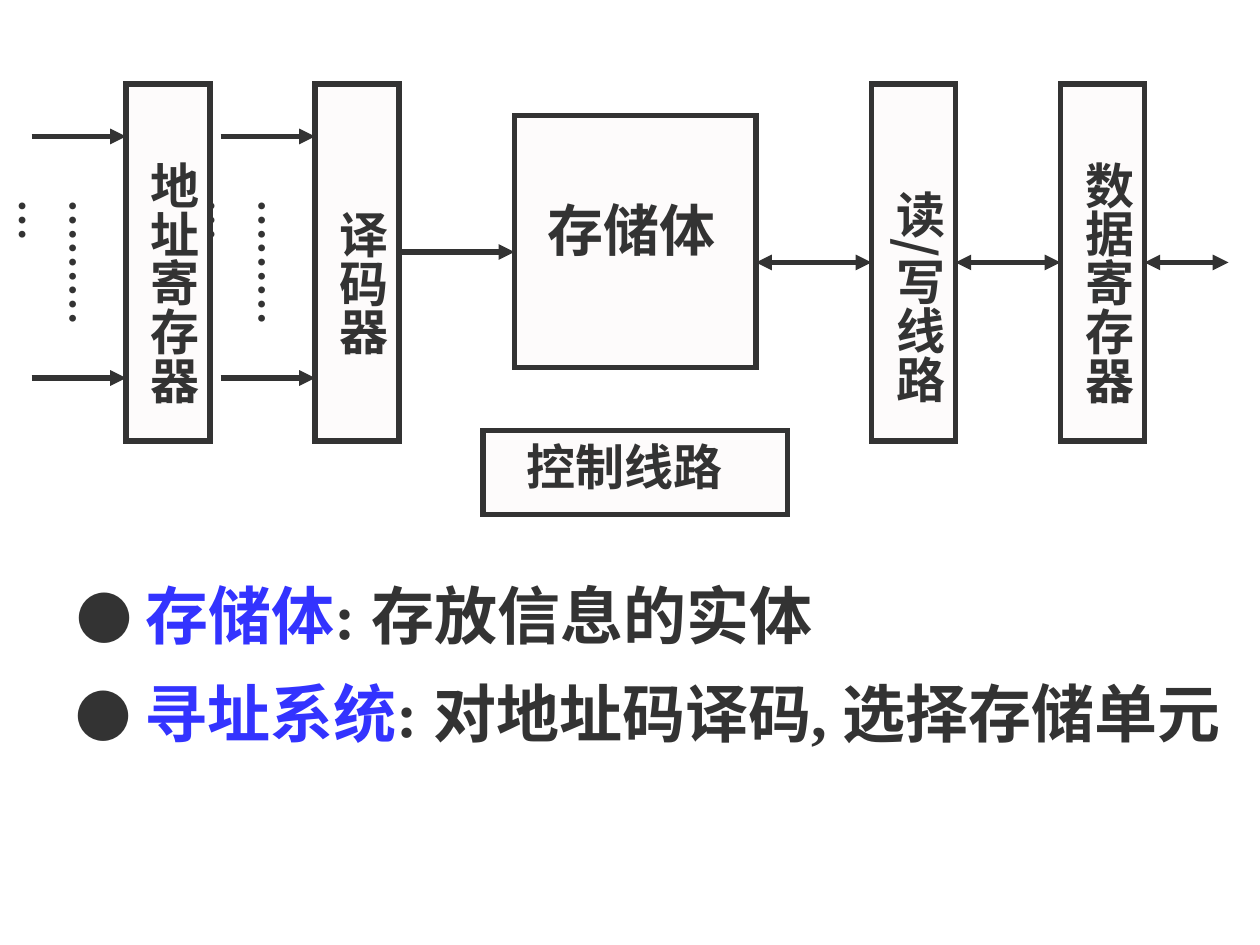
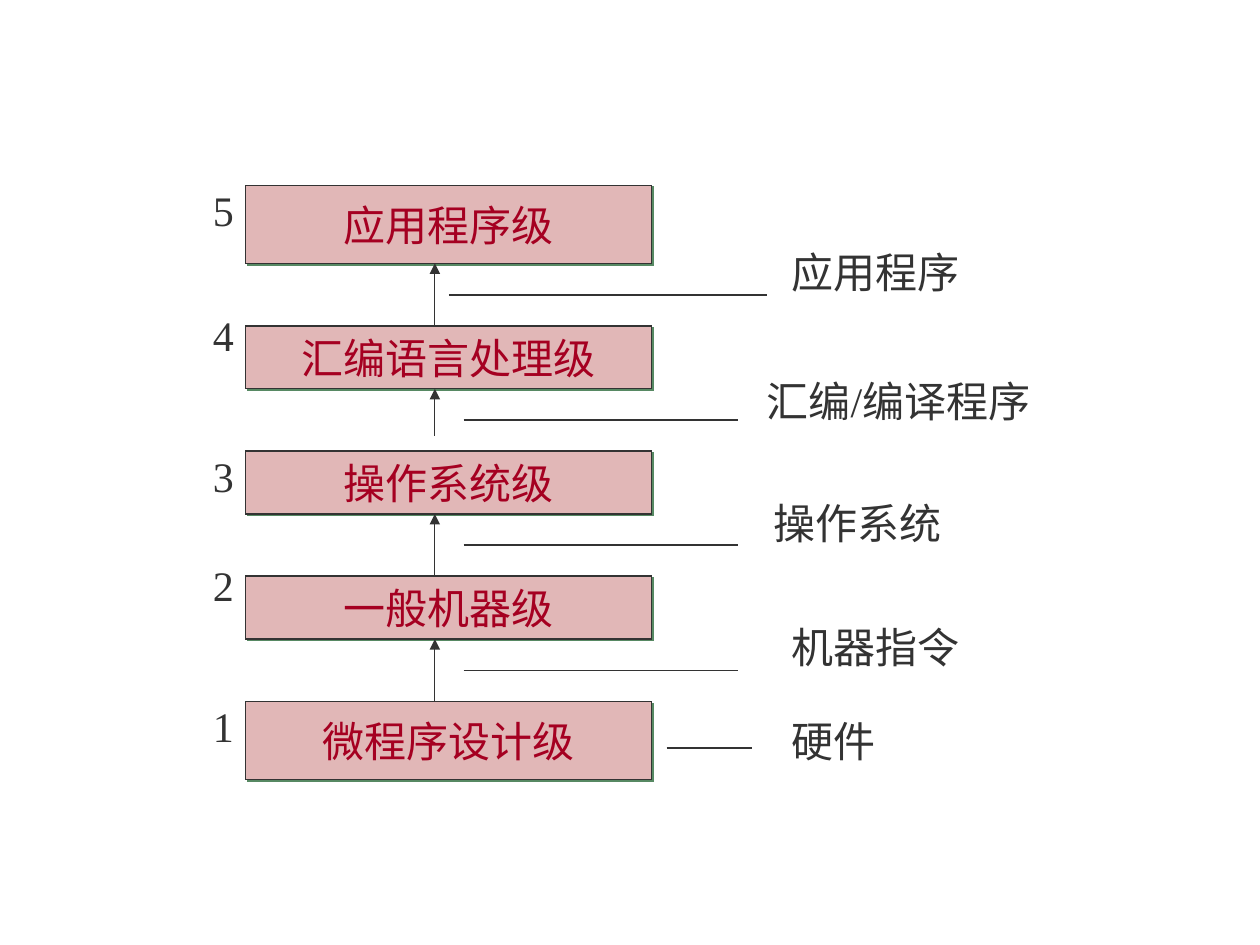
from typing import NamedTuple

from lxml import etree
from pptx import Presentation
from pptx.dml.color import RGBColor
from pptx.enum.shapes import MSO_CONNECTOR, MSO_SHAPE
from pptx.enum.text import MSO_ANCHOR, MSO_AUTO_SIZE, PP_ALIGN
from pptx.oxml.ns import qn
from pptx.util import Pt

RECT = MSO_SHAPE.RECTANGLE
STRAIGHT = MSO_CONNECTOR.STRAIGHT
TOP, MIDDLE = MSO_ANCHOR.TOP, MSO_ANCHOR.MIDDLE
GROW, FIXED = MSO_AUTO_SIZE.SHAPE_TO_FIT_TEXT, MSO_AUTO_SIZE.NONE
LEFT, CENTER = PP_ALIGN.LEFT, PP_ALIGN.CENTER

INK = RGBColor(0x33, 0x33, 0x33)
PAPER = RGBColor(0xFD, 0xFB, 0xFB)
BLUE = RGBColor(0x33, 0x33, 0xFF)
PINK = RGBColor(0xE1, 0xB7, 0xB7)
RED = RGBColor(0xA5, 0x00, 0x21)
SHADE = "578963"

SERIF, SANS, CJK = "Times New Roman", "Arial", "Noto Sans CJK SC"
THICK, THIN = 3, 0.75


class Box(NamedTuple):
    left: float
    top: float
    width: float
    height: float


class Run(NamedTuple):
    text: str
    size: float
    color: RGBColor = INK
    font: str = SERIF


class Label(NamedTuple):
    text: str
    box: Box
    size: float
    inset: float = 3.6
    vert: bool = True
    font: str = SERIF


class Arrow(NamedTuple):
    start: float
    end: float
    y: float
    both: bool = False


class Item(NamedTuple):
    term: str
    text: str
    box: Box
    indent: float
    inset: float


class Level(NamedTuple):
    number: str
    name: str
    top: float
    height: float
    mark: float  # top of the number


class Note(NamedTuple):
    text: str
    box: Box
    start: float
    end: float
    y: float


COLUMNS = [Box(x, 48, 48, 204) for x in (72, 180, 498, 606)]
BLOCKS = [Box(294, 66, 138, 144), *COLUMNS, Box(276, 246, 174, 48)]
LABELS = [
    Label("存储体", Box(306, 108, 114, 46), 32, vert=False),
    Label("地址寄存器", Box(72, 78, 47.5, 168), 28, 14),
    Label("译码器", Box(180, 96, 47.5, 132), 28, 24),
    Label("读/写线路", Box(498, 90, 47.5, 174), 28, 18.6, font=CJK),
    Label("数据寄存器", Box(606, 84, 47.5, 156), 28, 8),
    Label("控制线路", Box(294, 246, 162, 41), 28, vert=False),
    *[Label("…………", Box(x, 96, 43, 108), 24, 18) for x in (24.5, 132.5)],
]
ARROWS = [
    *[Arrow(x, x + 54, y) for x in (18, 126) for y in (78, 216)],
    Arrow(228, 294, 144),
    Arrow(432, 498, 150, both=True),
    Arrow(546, 606, 150, both=True),
    Arrow(654, 702, 150, both=True),
]
ITEMS = [
    Item("存储体", ": 存放信息的实体", Box(36.5, 326, 454, 50.5), 0, 3.6),
    Item("寻址系统", ": 对地址码译码, 选择存储单元",
         Box(26, 378, 687, 98.5), 10, 7.6),
]

BAR_LEFT, BAR_WIDTH, AXIS = 140.5, 232, 248.5
LEVELS = [
    Level("5", "应用程序级", 106, 44.5, 102),
    Level("4", "汇编语言处理级", 186.25, 36, 173.5),
    Level("3", "操作系统级", 257.75, 36, 254),
    Level("2", "一般机器级", 329.25, 36, 316),
    Level("1", "微程序设计级", 401, 44.5, 396.5),
]
STEMS = [186.25, 249, 329.25, 401]
NOTES = [
    Note("应用程序", Box(445, 137.5, 111, 36), 256.5, 438.5, 168.5),
    Note("汇编/编译程序", Box(431, 211, 176.5, 36), 265, 422, 240),
    Note("操作系统", Box(435, 281, 111, 36), 265, 422, 311.5),
    Note("机器指令", Box(445, 351.5, 111, 36), 265, 422, 383),
    Note("硬件", Box(445, 405.5, 63, 36), 381, 430, 427.5),
]


def points(box: Box) -> list:
    return [Pt(n) for n in box]


def write(shape, runs: list[Run], *, bold=False, align=LEFT, anchor=TOP,
          wrap=True, grow=True, vert=False, indent=0, inset=3.6, before=0):
    """Fill a shape with one paragraph of formatted runs."""
    frame = shape.text_frame
    frame.word_wrap = wrap
    frame.auto_size = GROW if grow else FIXED
    frame.vertical_anchor = anchor
    frame.margin_left = frame.margin_right = Pt(3.6 if vert else 7.2)
    frame.margin_top = Pt(inset)
    frame.margin_bottom = Pt(0 if vert else 3.6)
    if vert:
        frame._txBody.bodyPr.set("vert", "eaVert")
    para = frame.paragraphs[0]
    para.alignment = align
    para.line_spacing = 1.0
    para.space_before = Pt(before)
    props = para._p.get_or_add_pPr()
    props.set("marL", "0")
    props.set("indent", str(Pt(indent)))
    etree.SubElement(props, qn("a:buNone"))
    for part in runs:
        run = para.add_run()
        run.text = part.text
        font = run.font
        font.name, font.size, font.bold = part.font, Pt(part.size), bold
        font.color.rgb = part.color
        east = etree.SubElement(run._r.get_or_add_rPr(), qn("a:ea"))
        east.set("typeface", CJK)


def add_text(slide, box: Box, run: Run, **format):
    write(slide.shapes.add_textbox(*points(box)), [run], **format)


def add_rect(slide, box: Box, fill: RGBColor, weight: float):
    shape = slide.shapes.add_shape(RECT, *points(box))
    shape.shadow.inherit = False
    shape.fill.solid()
    shape.fill.fore_color.rgb = fill
    shape.line.color.rgb = INK
    shape.line.width = Pt(weight)
    etree.SubElement(shape.line._get_or_add_ln(), qn("a:miter"), lim="800000")
    return shape


def add_shade(shape):
    """Cast a hard shadow to the lower right."""
    effects = shape._element.spPr.find(qn("a:effectLst"))
    outer = etree.SubElement(effects, qn("a:outerShdw"), dist=str(Pt(1.4)),
                             dir="2700000", algn="ctr", rotWithShape="0")
    etree.SubElement(outer, qn("a:srgbClr"), val=SHADE)


def add_line(slide, start: tuple, end: tuple, weight: float, tips=()):
    """Draw a line; tips names the ends that carry an arrowhead."""
    line = slide.shapes.add_connector(
        STRAIGHT, *[Pt(n) for n in (*start, *end)])
    line.line.color.rgb = INK
    line.line.width = Pt(weight)
    for tip in tips:
        etree.SubElement(line.line._get_or_add_ln(), qn(tip), type="triangle")
    etree.SubElement(line._element.spPr, qn("a:effectLst"))


def build_memory(deck):
    slide = deck.slides.add_slide(deck.slide_layouts[3])
    title, *bodies = list(slide.placeholders)
    title._element.getparent().remove(title._element)
    for block in BLOCKS:
        add_rect(slide, block, PAPER, THICK)
    for label in LABELS:
        add_text(slide, label.box, Run(label.text, label.size, font=label.font),
                 bold=True, vert=label.vert, inset=label.inset,
                 before=label.size * 0.625)
    for arrow in ARROWS:
        tips = ("a:headEnd", "a:tailEnd") if arrow.both else ("a:tailEnd",)
        add_line(slide, (arrow.start, arrow.y), (arrow.end, arrow.y),
                 THICK, tips)
    for body, item in zip(bodies, ITEMS):
        body.left, body.top, body.width, body.height = points(item.box)
        runs = [Run("● ", 32, font=SANS), Run(item.term, 36, BLUE),
                Run(item.text, 36)]
        write(body, runs, bold=True, indent=item.indent, inset=item.inset)


def build_levels(deck):
    slide = deck.slides.add_slide(deck.slide_layouts[6])
    for level in LEVELS:
        bar = add_rect(slide, Box(BAR_LEFT, level.top, BAR_WIDTH, level.height),
                       PINK, THIN)
        add_shade(bar)
        write(bar, [Run(level.name, 24, RED)], align=CENTER, anchor=MIDDLE,
              wrap=False, grow=False)
        add_text(slide, Box(114.5, level.mark, 26, 36), Run(level.number, 24),
                 wrap=False)
    for level, foot in zip(LEVELS, STEMS):
        add_line(slide, (AXIS, foot), (AXIS, level.top + level.height),
                 THIN, ("a:tailEnd",))
    for note in NOTES:
        add_line(slide, (note.start, note.y), (note.end, note.y), THIN)
        add_text(slide, note.box, Run(note.text, 24), wrap=False)


def main():
    deck = Presentation()
    deck.slide_width, deck.slide_height = Pt(720), Pt(540)
    build_memory(deck)
    build_levels(deck)
    deck.save("out.pptx")


if __name__ == "__main__":
    main()
